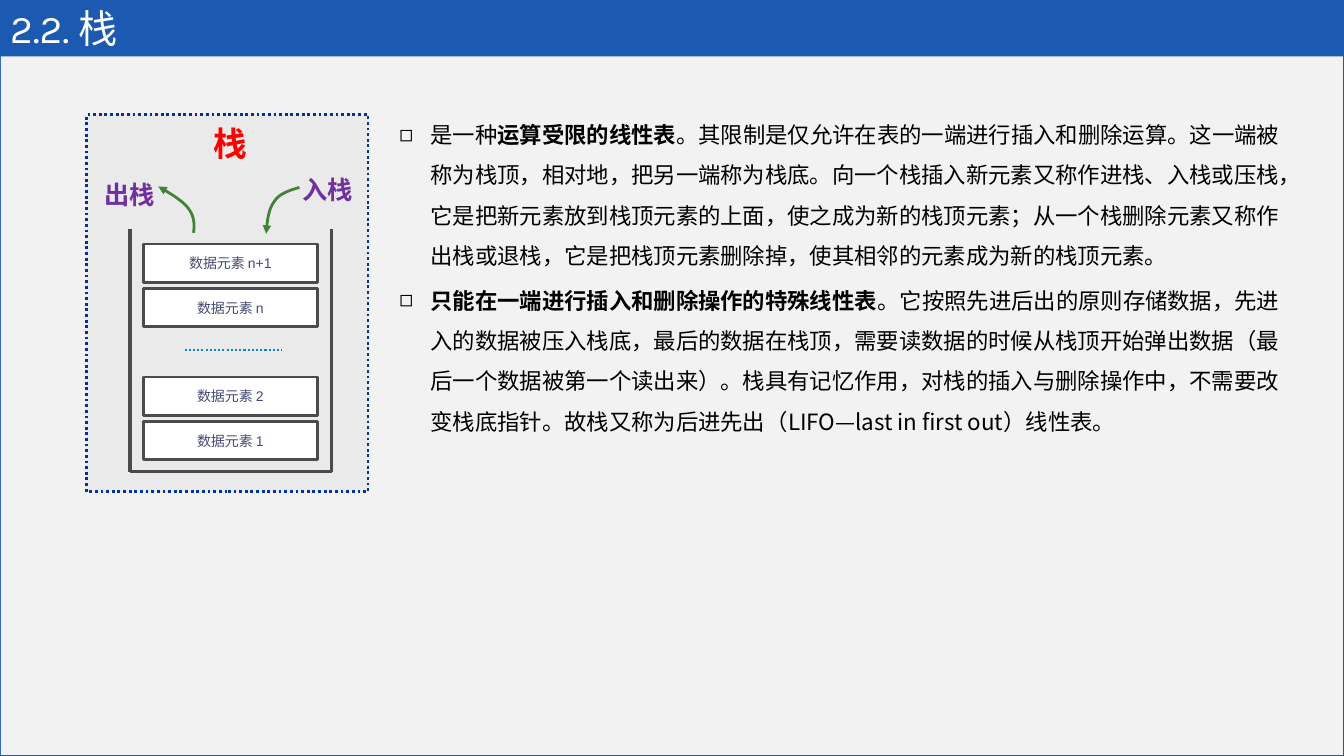
from lxml import etree
from pptx import Presentation
from pptx.dml.color import RGBColor
from pptx.enum.dml import MSO_LINE
from pptx.enum.shapes import MSO_CONNECTOR, MSO_SHAPE
from pptx.enum.text import MSO_ANCHOR, MSO_AUTO_SIZE, PP_ALIGN
from pptx.oxml.ns import qn
from pptx.util import Inches, Pt

TITLE = "2.2. 栈"
POINTS = [
    [("是一种", False), ("运算受限的线性表", True),
     ("。其限制是仅允许在表的一端进行插入和删除运算。这一端被称为栈顶，相对地，把另一端称为栈底。"
      "向一个栈插入新元素又称作进栈、入栈或压栈，它是把新元素放到栈顶元素的上面，使之成为新的栈顶元素；"
      "从一个栈删除元素又称作出栈或退栈，它是把栈顶元素删除掉，使其相邻的元素成为新的栈顶元素。", False)],
    [("只能在一端进行插入和删除操作的特殊线性表", True),
     ("。它按照先进后出的原则存储数据，先进入的数据被压入栈底，最后的数据在栈顶，"
      "需要读数据的时候从栈顶开始弹出数据（最后一个数据被第一个读出来）。"
      "栈具有记忆作用，对栈的插入与删除操作中，不需要改变栈底指针。"
      "故栈又称为后进先出（LIFO—last in first out）线性表。", False)],
]
ELEMENTS = {0: "数据元素 n+1", 1: "数据元素 n", 3: "数据元素 2", 4: "数据元素 1"}
CJK = "Noto Sans CJK SC"
LABELS = [
    ("栈", (2.02, 1.17, 0.54, 0.5), 24, "Arial", "red"),
    ("入栈", (2.9, 1.68, 0.71, 0.4), 18, CJK, "purple"),
    ("出栈", (0.94, 1.73, 0.71, 0.4), 18, CJK, "purple"),
]
ARROWS = [
    [(2.97, 1.86), (2.87, 1.89), (2.77, 1.92), (2.72, 2), (2.66, 2.08), (2.65, 2.2), (2.64, 2.32)],
    [(1.92, 2.31), (1.93, 2.23), (1.93, 2.15), (1.87, 2.07), (1.81, 1.99), (1.69, 1.92), (1.57, 1.85)],
]
COLORS = {
    "header": "1B5AB0", "panel": "F2F2F2", "frame": "EAEAEA", "border": "003399",
    "wall": "4B4B4B", "element": "474B73", "dots": "0C86B2", "arrow": "438337",
    "red": "FF0000", "purple": "7030A0", "white": "FFFFFF", "black": "000000",
}
LEFT_WALL, RIGHT_WALL, WALL_TOP, FLOOR = 1.29, 3.29, 2.27, 4.68
SLOT_TOP, SLOT_PITCH = 2.42, 0.44
STEPS = 10


def color(name):
    return RGBColor.from_string(COLORS[name])


def place(shape, at):
    shape.left, shape.top, shape.width, shape.height = map(Inches, at)


def style_run(span, size, face, name, bold=False):
    font = span.font
    font.size, font.name, font.bold = Pt(size), face, bold
    font.color.rgb = color(name)
    east = etree.Element(qn("a:ea"), typeface=CJK)
    font._element.find(qn("a:latin")).addnext(east)


def style_line(line, name, width, dotted=False):
    line.color.rgb = color(name)
    line.width = Pt(width)
    if dotted:
        line.dash_style = MSO_LINE.ROUND_DOT


def add_box(shapes, at, fill):
    box = shapes.add_shape(MSO_SHAPE.RECTANGLE, *map(Inches, at))
    box.shadow.inherit = False
    box.fill.solid()
    box.fill.fore_color.rgb = color(fill)
    return box


def add_line(shapes, start, end, name, width, dotted=False):
    line = shapes.add_connector(MSO_CONNECTOR.STRAIGHT, *map(Inches, start + end))
    style_line(line.line, name, width, dotted)
    etree.SubElement(line._element.spPr, qn("a:effectLst"))


def curve_points(nodes):
    for first in range(0, len(nodes) - 1, 3):
        a, b, c, d = nodes[first:first + 4]
        for step in range(1, STEPS + 1):
            t = step / STEPS
            u = 1 - t
            yield tuple(Inches(u**3 * p + 3 * u * u * t * q + 3 * u * t * t * r + t**3 * s)
                        for p, q, r, s in zip(a, b, c, d))


def add_arrow(shapes, nodes):
    builder = shapes.build_freeform(*map(Inches, nodes[0]))
    builder.add_line_segments(list(curve_points(nodes)), close=False)
    arrow = builder.convert_to_shape()
    arrow.shadow.inherit = False
    arrow.fill.background()
    style_line(arrow.line, "arrow", 2)
    etree.SubElement(arrow.line._get_or_add_ln(), qn("a:tailEnd"), type="triangle")


def add_title(slide):
    title = slide.shapes.title
    place(title, (0, 0.01, 13.23, 0.53))
    frame = title.text_frame
    frame.text = TITLE
    frame.auto_size = MSO_AUTO_SIZE.NONE
    frame.vertical_anchor = MSO_ANCHOR.MIDDLE
    para = frame.paragraphs[0]
    para.alignment = PP_ALIGN.LEFT
    style_run(para.runs[0], 28, "Karla", "white")


def add_points(slide):
    body = slide.placeholders[1]
    place(body, (3.86, 1.02, 9.12, 3.34))
    frame = body.text_frame
    frame.auto_size = MSO_AUTO_SIZE.NONE
    for index, pieces in enumerate(POINTS):
        para = frame.add_paragraph() if index else frame.paragraphs[0]
        para.line_spacing = 1.5
        para.space_before = Pt(3.2 if index else 0)
        props = para._p.get_or_add_pPr()
        props.set("marL", str(Inches(0.31)))
        props.set("indent", str(Inches(-0.31)))
        etree.SubElement(props, qn("a:buChar"), char="◻")
        for text, bold in pieces:
            span = para.add_run()
            span.text = text
            style_run(span, 16, CJK, "black", bold)


def add_stack(slide):
    shapes = slide.shapes.add_group_shape().shapes
    frame = add_box(shapes, (0.86, 1.14, 2.79, 3.74), "frame")
    style_line(frame.line, "border", 2, dotted=True)
    corners = [(LEFT_WALL, WALL_TOP), (LEFT_WALL, FLOOR), (RIGHT_WALL, FLOOR), (RIGHT_WALL, WALL_TOP)]
    for start, end in zip(corners, corners[1:]):
        add_line(shapes, start, end, "wall", 2.25)
    for slot, text in ELEMENTS.items():
        cell = add_box(shapes, (1.42, SLOT_TOP + slot * SLOT_PITCH, 1.73, 0.38), "white")
        style_line(cell.line, "wall", 2)
        cell.text_frame.text = text
        cell.text_frame.vertical_anchor = MSO_ANCHOR.MIDDLE
        para = cell.text_frame.paragraphs[0]
        para.alignment = PP_ALIGN.CENTER
        style_run(para.runs[0], 10, "Arial", "element")
    add_line(shapes, (1.83, 3.47), (2.8, 3.47), "dots", 1.5, dotted=True)
    for text, at, size, face, name in LABELS:
        label = shapes.add_textbox(*map(Inches, at))
        label.text_frame.text = text
        label.text_frame.word_wrap = False
        style_run(label.text_frame.paragraphs[0].runs[0], size, face, name, bold=True)
    for nodes in ARROWS:
        add_arrow(shapes, nodes)


def main():
    deck = Presentation()
    deck.slide_width, deck.slide_height = Inches(13.33), Inches(7.5)
    slide = deck.slides.add_slide(deck.slide_layouts[1])
    slide.background.fill.solid()
    slide.background.fill.fore_color.rgb = color("header")
    panel = add_box(slide.shapes, (0.01, 0.56, 13.31, 6.93), "panel")
    panel.line.fill.background()
    slide.shapes.title.element.addprevious(panel.element)
    add_title(slide)
    add_stack(slide)
    add_points(slide)
    deck.save("out.pptx")


if __name__ == "__main__":
    main()
